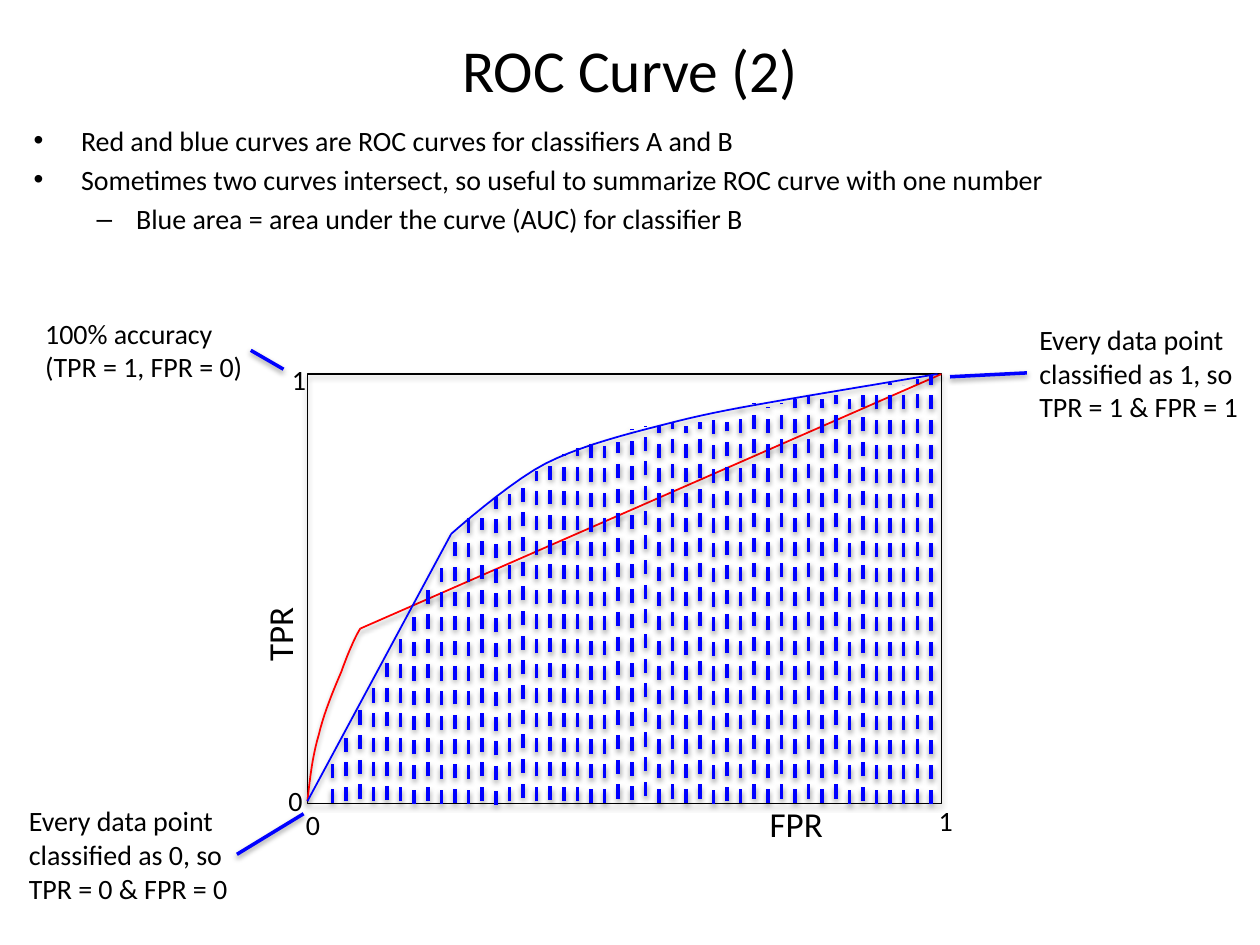
from pptx import Presentation
from pptx.dml.color import RGBColor
from pptx.enum.dml import MSO_LINE
from pptx.enum.shapes import MSO_CONNECTOR, MSO_SHAPE
from pptx.enum.text import MSO_ANCHOR, MSO_AUTO_SIZE, PP_ALIGN
from pptx.oxml.ns import qn
from pptx.util import Pt
from lxml.etree import SubElement

BLACK = RGBColor(0, 0, 0)
RED = RGBColor(255, 0, 0)
BLUE = RGBColor(0, 0, 255)
FONT = "Calibri"

BULLETS = [
    # text, left margin, hanging indent, bullet
    ("Red and blue curves are ROC curves for classifiers A and B", 27, 27, "•"),
    ("Sometimes two curves intersect, so useful to summarize ROC curve "
     "with one number", 27, 27, "•"),
    ("Blue area = area under the curve (AUC) for classifier B", 58.5, 22.5, "–"),
]

# Points within the plot box: a start, then (control, control, end) triples
RED_CURVE = [(0, 244),
             (1.4, 231), (2.9, 218), (6.5, 206),
             (9.4, 193.7), (15.1, 180), (19.4, 170),
             (23, 159.8), (27.4, 149.8), (30.2, 145.4)]
BLUE_CURVE = [(360, 0),
              (360, 0), (287.3, 12.2), (287.3, 12.2),
              (262.1, 16.6), (234.7, 20.9), (209.5, 27.4),
              (184.3, 33.8), (157.7, 40.3), (136.1, 51.1),
              (115.2, 61.9), (82.1, 91.4), (82.1, 91.4)]

# Hatch lines from left to right: upper and lower ends within the plot box
HATCH_LEFT, HATCH_STEP = 14.4, 7.77
HATCH_TOPS = [219.5, 208, 192, 179, 164, 150.5, 134, 119.5, 106, 91.5, 82, 82,
              70, 68.5, 62, 55.5, 49, 45.5, 42.5, 39, 41, 39, 31.5, 29.5, 29.5,
              27.5, 29.5, 27.5, 22.5, 27.5, 18.5, 16.5, 18.5, 16.5, 14.5, 12,
              14.5, 12, 14.5, 12, 6.5, 5, 6, 3, 0.5]
HATCH_FEET = [245, 244, 242.5, 244, 243.5, 244, 245.5, 244, 245.5, 245, 245.5,
              244, 246, 244, 242, 244, 243.5, 244, 244, 245, 245, 242.5, 243.5,
              241, 245, 242.5, 245, 242.5, 245.5, 244, 245, 242.5, 245, 242.5,
              245, 242.5, 245, 242.5, 245.5, 244, 245.5, 245.5, 245.5, 245, 245.5]


def format_para(para, size):
    for span in para.runs:
        span.font.name = FONT
        span.font.size = Pt(size)
        span.font.color.rgb = BLACK


def add_shadow(shape, distance, opacity):
    effects = SubElement(shape._element.spPr, qn("a:effectLst"))
    shadow = SubElement(effects, qn("a:outerShdw"), blurRad=str(Pt(3.1)),
                        dist=str(Pt(distance)), dir="5400000", rotWithShape="0")
    color = SubElement(shadow, qn("a:srgbClr"), val="000000")
    SubElement(color, qn("a:alpha"), val=str(opacity * 1000))


def style_outline(shape, color, width):
    shape.fill.background()
    shape.line.color.rgb = color
    shape.line.width = Pt(width)
    add_shadow(shape, 1.8, 35)


def add_line(slide, start, end, color, width, dash=None):
    line = slide.shapes.add_connector(
        MSO_CONNECTOR.STRAIGHT, *[Pt(value) for value in (*start, *end)])
    line.line.color.rgb = color
    line.line.width = Pt(width)
    if dash:
        line.line.dash_style = dash
    add_shadow(line, 1.6, 38)


def add_label(slide, box, text, size=16, wrap=False, rotation=0):
    label = slide.shapes.add_textbox(*[Pt(value) for value in box])
    label.rotation = rotation
    frame = label.text_frame
    frame.text = text
    frame.word_wrap = wrap
    frame.auto_size = MSO_AUTO_SIZE.SHAPE_TO_FIT_TEXT
    format_para(frame.paragraphs[0], size)


def add_curve(slide, points, color, steps=10):
    """Draw a chain of cubic Bezier segments as a smooth outline."""
    outline = []
    for first in range(0, len(points) - 1, 3):
        a, b, c, d = points[first:first + 4]
        for step in range(1, steps + 1):
            t = step / steps
            u = 1 - t
            outline.append(tuple(
                Pt(u**3 * a[i] + 3 * u * u * t * b[i] + 3 * u * t * t * c[i] + t**3 * d[i])
                for i in (0, 1)))
    builder = slide.shapes.build_freeform(Pt(points[0][0]), Pt(points[0][1]))
    builder.add_line_segments(outline, close=False)
    style_outline(builder.convert_to_shape(), color, 1)


def add_title(slide, box, text):
    title = slide.shapes.title
    title.left, title.top, title.width, title.height = [Pt(value) for value in box]
    title.text_frame.text = text
    title.text_frame.vertical_anchor = MSO_ANCHOR.MIDDLE
    para = title.text_frame.paragraphs[0]
    para.alignment = PP_ALIGN.CENTER
    format_para(para, 34)


def add_bullets(slide, box):
    frame = slide.shapes.add_textbox(*[Pt(value) for value in box]).text_frame
    frame.word_wrap = True
    for index, (text, margin, hanging, bullet) in enumerate(BULLETS):
        para = frame.add_paragraph() if index else frame.paragraphs[0]
        para.text = text
        if index:
            para.space_before = Pt(3.2)
        properties = para._p.get_or_add_pPr()
        properties.set("marL", str(Pt(margin)))
        properties.set("indent", str(-Pt(hanging)))
        SubElement(properties, qn("a:buFont"), typeface="Arial")
        SubElement(properties, qn("a:buChar"), char=bullet)
        format_para(para, 16)


def add_plot(slide, box):
    left, top, width, height = box

    def place(x, y):
        return left + x, top + y

    # Frame
    frame = slide.shapes.add_shape(MSO_SHAPE.RECTANGLE, *[Pt(value) for value in box])
    style_outline(frame, BLACK, 0.75)

    # Axis ticks and names
    for x, y, text in [(353.5, 242, "1"), (-8, 244, "0"), (-18, 230.5, "0"),
                       (-16, -10, "1")]:
        add_label(slide, (*place(x, y), 23, 26.5), text)
    add_label(slide, (*place(257, 241), 45.5, 31.5), "FPR", 20)
    add_label(slide, (*place(-39, 132.5), 46, 31.5), "TPR", 20, rotation=270)

    # Each classifier: a curve and a straight part
    for points, start, end, color in [
            (RED_CURVE, RED_CURVE[-1], (width, 0), RED),
            (BLUE_CURVE, (0, 244), BLUE_CURVE[-1], BLUE)]:
        add_curve(slide, [place(*point) for point in points], color)
        add_line(slide, place(*start), place(*end), color, 1)

    # Hatched area under the blue curve
    for index, (upper, foot) in enumerate(zip(HATCH_TOPS, HATCH_FEET)):
        x = HATCH_LEFT + index * HATCH_STEP
        add_line(slide, place(x, foot), place(x, upper), BLUE, 2, MSO_LINE.DASH)


def add_callout(slide, box, text, start, end):
    add_label(slide, box, text, wrap=True)
    add_line(slide, start, end, BLUE, 2)


def main():
    deck = Presentation()
    deck.slide_width, deck.slide_height = Pt(720), Pt(540)
    slide = deck.slides.add_slide(deck.slide_layouts[5])
    add_title(slide, (36, 0.7, 648, 77), "ROC Curve (2)")
    add_bullets(slide, (12.2, 67, 672, 88.5))
    add_plot(slide, (175.7, 213.8, 362.2, 245.5))
    add_callout(slide, (9.4, 455.8, 145.5, 65.5),
                "Every data point classified as 0, so TPR = 0 & FPR = 0",
                (173.5, 465), (135.4, 488.2))
    add_callout(slide, (586.8, 180.7, 145.5, 65.5),
                "Every data point classified as 1, so TPR = 1 & FPR = 1",
                (586.8, 213.1), (542.9, 215.3))
    add_callout(slide, (18.7, 177.1, 133.2, 46),
                "100% accuracy (TPR = 1, FPR = 0)",
                (162, 211), (143.3, 200.2))
    deck.save("out.pptx")


if __name__ == "__main__":
    main()
